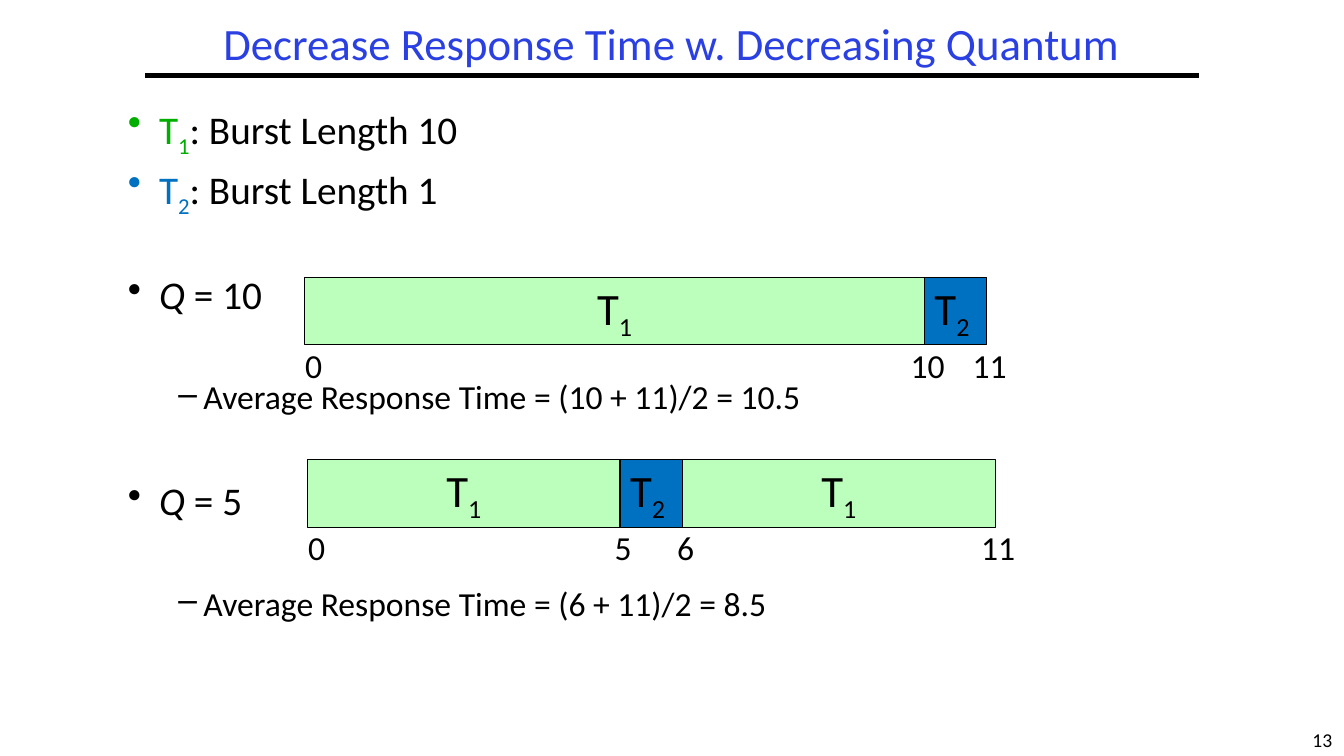
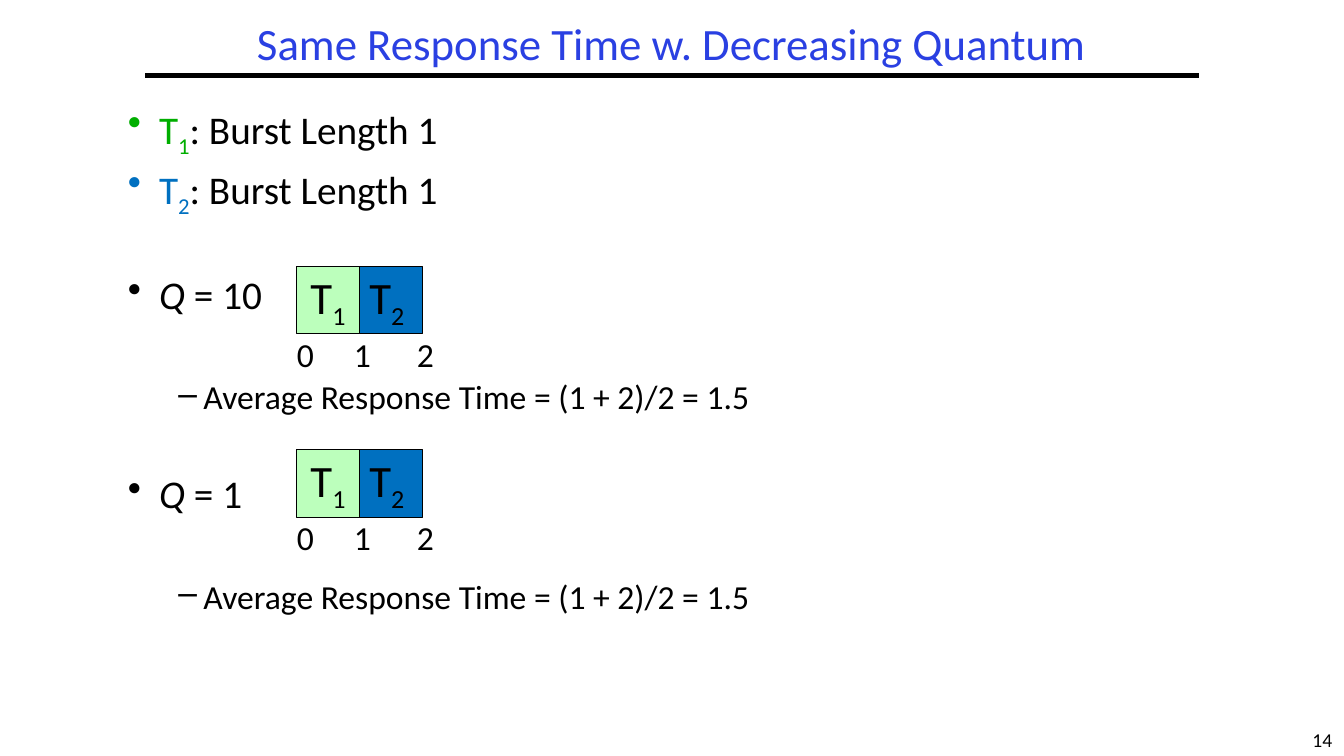
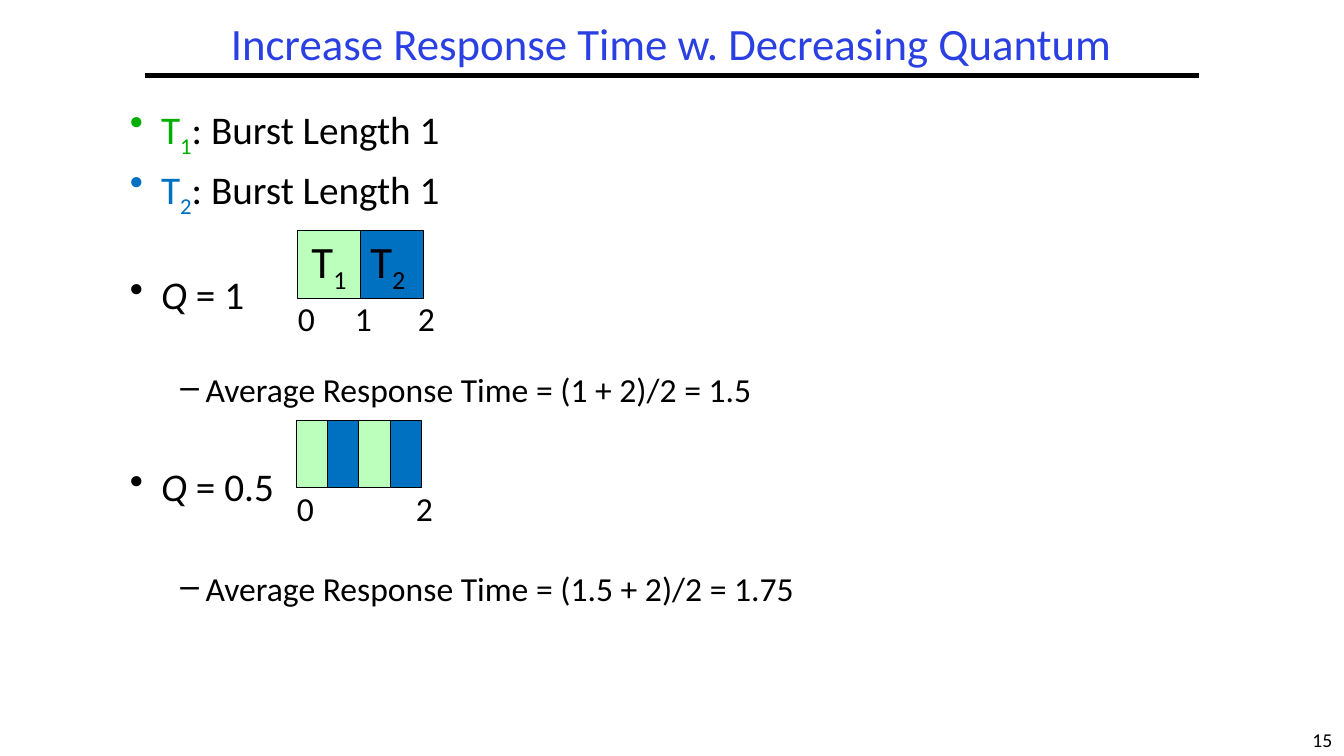
"""Build three slides on how the scheduling quantum changes response time."""
from dataclasses import dataclass
from lxml.etree import SubElement
from pptx import Presentation
from pptx.dml.color import RGBColor as Rgb
from pptx.enum.shapes import MSO_CONNECTOR as Link, MSO_SHAPE as Shape
from pptx.enum.text import MSO_ANCHOR as Anchor, PP_ALIGN as Align
from pptx.oxml.ns import qn
from pptx.util import Inches, Pt


@dataclass(frozen=True)
class Theme:
    face: str = "Calibri"
    black: Rgb = Rgb(0, 0, 0)
    title: Rgb = Rgb(0x2A, 0x40, 0xE2)
    inks: tuple = (Rgb(0, 0xAE, 0), Rgb(0, 0x70, 0xC0))
    fills: tuple = (Rgb(0xBC, 0xFF, 0xBC), Rgb(0, 0x70, 0xC0))
    head: int = 32
    body: int = 28
    note: int = 24
    foot: int = 14


look = Theme()
deck = Presentation()
deck.slide_width, deck.slide_height = Inches(13.33), Inches(7.5)
col = row = Inches(0.1)


def write(para, size, *parts, ink=look.black):
    """Set the paragraph font and add runs of (text, colour, style)."""
    font = para.font
    font.name, font.size, font.color.rgb = look.face, Pt(size), ink
    for text, tint, style in parts:
        run = para.add_run()
        run.text = text
        if tint is not None:
            run.font.color.rgb = tint
        if style == "italic":
            run.font.italic = True
        if style == "sub":
            run._r.get_or_add_rPr().set("baseline", "-25000")


def box(shapes, x, y, wide, high, wrap=False):
    """Add a text box in grid units and return its frame."""
    frame = shapes.add_textbox(int(x * col), int(y * row), int(wide * col), int(high * row)).text_frame
    frame.word_wrap = wrap
    return frame


pages = [
    {"title": "Decrease Response Time w. Decreasing Quantum", "left": 11.7, "bursts": (10, 1),
     "tests": [("10", "(10 + 11)/2 = 10.5", 44, 45), ("5", "(6 + 11)/2 = 8.5", 46, 45)],
     "bars": [(30.2, 27.5, 6.15, [(0, 10), (1, 1)], (0, 10, 11)),
              (30.5, 45.6, 6.2, [(0, 5), (1, 1), (0, 5)], (0, 5, 6, 11))]},
    {"title": "Same Response Time w. Decreasing Quantum", "left": 11.7, "bursts": (1, 1),
     "tests": [("10", "(1 + 2)/2 = 1.5", 44, 45), ("1", "(1 + 2)/2 = 1.5", 41, 45)],
     "bars": [(29.4, 26.4, 6.25, [(0, 1), (1, 1)], (0, 1, 2)),
              (29.4, 44.6, 6.25, [(0, 1), (1, 1)], (0, 1, 2))]},
    {"title": "Increase Response Time w. Decreasing Quantum", "left": 11.9, "bursts": (1, 1),
     "tests": [("1", "(1 + 2)/2 = 1.5", 44, 40), ("0.5", "(1.5 + 2)/2 = 1.75", 41, 45)],
     "bars": [(29.5, 22.9, 6.25, [(0, 1), (1, 1)], (0, 1, 2)),
              (29.4, 41.7, 6.2, [(0, 0.5), (1, 0.5), (0, 0.5), (1, 0.5)], (0, 2))]},
]

for num, page in enumerate(pages, 13):
    slide = deck.slides.add_slide(deck.slide_layouts[5])

    title = slide.shapes.title
    title.left, title.top = int(14.4 * col), int(1.7 * row)
    title.width, title.height = int(104.4 * col), int(5.8 * row)
    title.text_frame.vertical_anchor = Anchor.MIDDLE
    para = title.text_frame.paragraphs[0]
    para.alignment, para.line_spacing = Align.CENTER, 0.9
    write(para, look.head, (page["title"], None, ""), ink=look.title)

    rule = slide.shapes.add_connector(
        Link.STRAIGHT, int(14.4 * col), int(7.5 * row), int(118.9 * col), int(7.5 * row))
    rule.line.color.rgb, rule.line.width = look.black, Pt(3)
    SubElement(rule._element.spPr, qn("a:effectLst"))

    para = box(slide.shapes, 129, 71.7, 4.3, 3.3).paragraphs[0]
    para.alignment = Align.CENTER
    write(para, look.foot, (str(num), None, ""))

    lines = []
    for task, burst in enumerate(page["bursts"]):
        ink = look.inks[task]
        lines.append((0, task * 8.5, [("T", ink, ""), (str(task + 1), ink, "sub"),
                                      (f": Burst Length {burst}", None, "")]))
    for span, mean, above, gap in page["tests"]:
        lines.append((0, above, [("Q", None, "italic"), (f" = {span}", None, "")]))
        lines.append((1, gap, [(f"Average Response Time = {mean}", None, "")]))

    frame = box(slide.shapes, page["left"], 10, 115, 57, wrap=True)
    for spot, (level, gap, parts) in enumerate(lines):
        para = frame.add_paragraph() if spot else frame.paragraphs[0]
        para.level = level
        props = para._p.get_or_add_pPr()
        props.set("marL", str(Inches((0.31, 0.75)[level])))
        props.set("indent", str(-Inches((0.31, 0.25)[level])))
        SubElement(props, qn("a:buChar")).set("char", "•–"[level])
        para.line_spacing, para.space_before = 0.9, Pt(gap)
        write(para, (look.body, look.note)[level], *parts)

    for left, top, step, runs, ticks in page["bars"]:
        group = slide.shapes.add_group_shape().shapes
        start = 0
        for task, span in runs:
            bar = group.add_shape(Shape.RECTANGLE, int((left + start * step) * col), int(top * row),
                                  int(span * step * col), int(6.7 * row))
            bar.shadow.inherit = False
            bar.fill.solid()
            bar.fill.fore_color.rgb = look.fills[task]
            bar.line.color.rgb, bar.line.width = look.black, Pt(0.75)
            if span >= 1:
                frame = bar.text_frame
                frame.word_wrap, frame.vertical_anchor = False, Anchor.MIDDLE
                para = frame.paragraphs[0]
                para.alignment = (Align.CENTER, Align.LEFT)[task]
                write(para, look.head, ("T", None, ""), (str(task + 1), None, "sub"))
            start += span
        for tick in ticks:
            mid = left + tick * step + (0.3 if tick else 0.9)
            frame = box(group, mid - 3, top + 6.2, 6, 5)
            frame.vertical_anchor = Anchor.MIDDLE
            para = frame.paragraphs[0]
            para.alignment = Align.CENTER
            write(para, look.note, (str(tick), None, ""))

deck.save("out.pptx")
